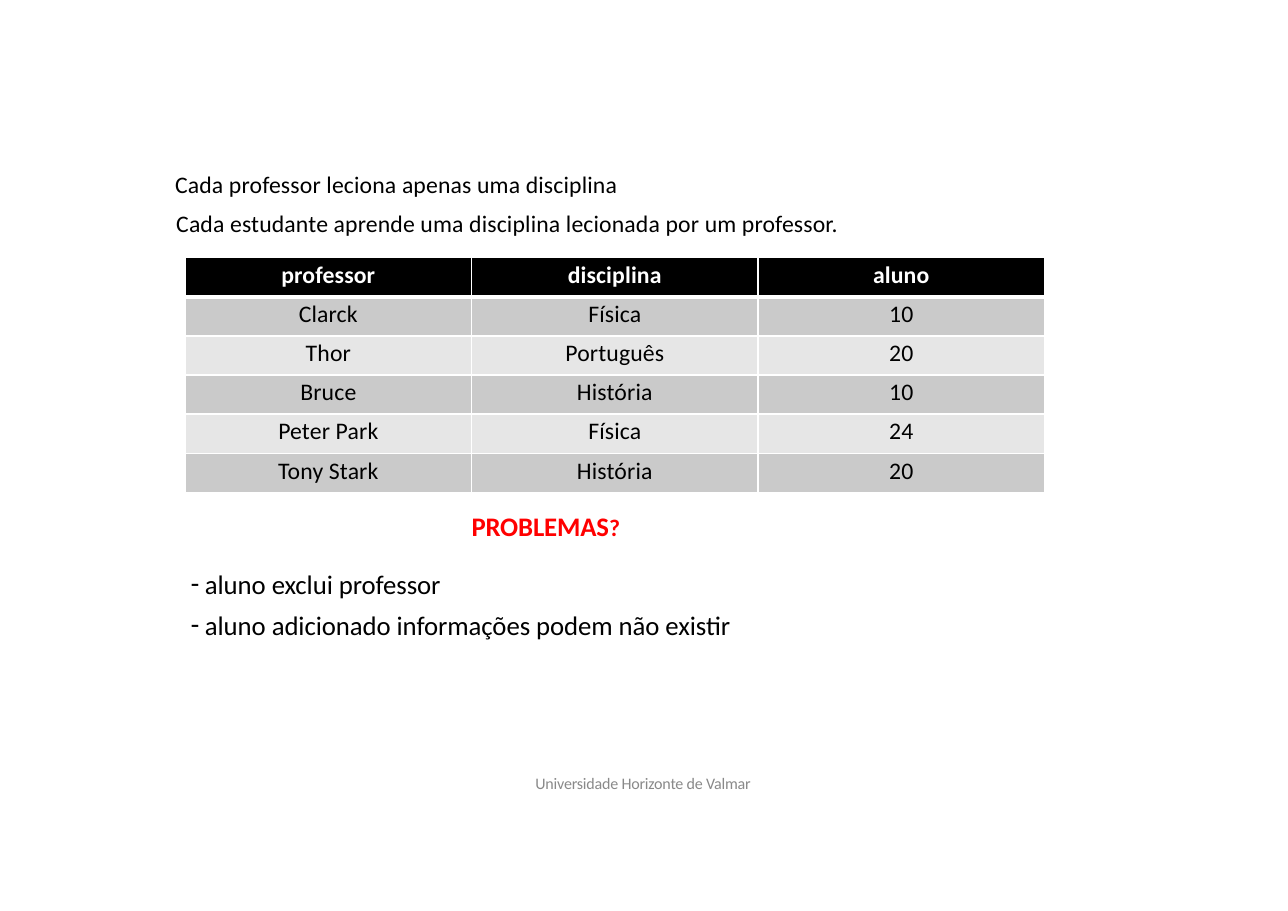
import pptx
import pptx.util
import pptx.dml.color
import pptx.enum.text
import pptx.oxml
import pptx.oxml.ns
from dataclasses import dataclass
from lxml import etree
from pptx.util import Inches, Pt

# Content
STATEMENTS = [
    "Cada professor leciona apenas uma disciplina",
    "Cada estudante aprende uma disciplina lecionada por um professor.",
]
TABLE_ROWS = [
    ("professor", "disciplina", "aluno"),
    ("Clarck", "Física", "10"),
    ("Thor", "Português", "20"),
    ("Bruce", "História", "10"),
    ("Peter Park", "Física", "24"),
    ("Tony Stark", "História", "20"),
]
HEADING = ("PROBLEMAS", "?")
PROBLEMS = ["aluno exclui professor", "aluno adicionado informações podem não existir"]
FOOTER = "Universidade Horizonte de Valmar"


@dataclass(frozen=True)
class Theme:
    font: str = "Calibri"
    text: str = "000000"
    accent: str = "FF0000"
    muted: str = "898989"
    white: str = "FFFFFF"
    header: str = "000000"
    bands: tuple = ("E6E6E6", "CACACA")
    body_size: float = 15.5
    list_size: float = 17.5
    footer_size: float = 10.5
    thin: float = 1
    thick: float = 3


THEME = Theme()


def rgb(value):
    return pptx.dml.color.RGBColor.from_string(value)


def format_run(run, size, color, bold=False, spacing=0.0):
    run.font.name = THEME.font
    run.font.size = Pt(size)
    run.font.bold = bold
    run.font.color.rgb = rgb(color)
    run.font._element.set("spc", str(round(spacing * 100)))


def place(shape, left, top, width, height, inset_top=0.0):
    shape.left, shape.top = Inches(left), Inches(top)
    shape.width, shape.height = Inches(width), Inches(height)
    frame = shape.text_frame
    frame.margin_left = frame.margin_right = frame.margin_bottom = 0
    frame.margin_top = Inches(inset_top)
    frame.word_wrap = True
    frame.auto_size = pptx.enum.text.MSO_AUTO_SIZE.NONE
    frame.vertical_anchor = pptx.enum.text.MSO_ANCHOR.TOP
    return frame


def set_indent(paragraph, margin, first_line=0.0):
    properties = paragraph._p.get_or_add_pPr()
    properties.set("marL", str(Inches(margin)))
    properties.set("indent", str(Inches(first_line)))
    return properties


def set_borders(cell, top, bottom):
    properties = cell._tc.get_or_add_tcPr()
    sides = (("L", THEME.thin), ("R", THEME.thin), ("T", top), ("B", bottom))
    for position, (side, width) in enumerate(sides):
        line = pptx.oxml.parse_xml(
            f'<a:ln{side} {pptx.oxml.ns.nsdecls("a")} w="{Pt(width)}"><a:solidFill>'
            f'<a:srgbClr val="{THEME.white}"/></a:solidFill></a:ln{side}>')
        properties.insert(position, line)


presentation = pptx.Presentation()
presentation.slide_width, presentation.slide_height = Inches(11.69), Inches(8.27)
slide = presentation.slides.add_slide(presentation.slide_layouts[1])

# Statements above the table
statement_box = slide.shapes.add_textbox(0, 0, 0, 0)
frame = place(statement_box, 1.58, 1.43, 6.5, 0.74, inset_top=0.11)
frame.text = "\n".join(STATEMENTS)
for index, paragraph in enumerate(frame.paragraphs):
    set_indent(paragraph, 0.01 * (index + 1))
    paragraph.space_before = Pt(7 * index)
    format_run(paragraph.runs[0], THEME.body_size, THEME.text, spacing=0.1)

# Table
row_count, column_count = len(TABLE_ROWS), len(TABLE_ROWS[0])
table = slide.shapes.add_table(
    row_count, column_count, Inches(1.68), Inches(2.34), Inches(7.8), Inches(2.13)).table
for row_index, row in enumerate(TABLE_ROWS):
    is_header = row_index == 0
    for column_index, value in enumerate(row):
        cell = table.cell(row_index, column_index)
        cell.margin_left = cell.margin_right = cell.margin_bottom = 0
        cell.margin_top = Inches(0.03)
        cell.fill.solid()
        cell.fill.fore_color.rgb = rgb(THEME.header if is_header else THEME.bands[row_index % 2])
        set_borders(cell,
                    top=THEME.thick if row_index == 1 else THEME.thin,
                    bottom=THEME.thick if is_header else THEME.thin)
        cell.text_frame.text = value
        paragraph = cell.text_frame.paragraphs[0]
        paragraph.alignment = pptx.enum.text.PP_ALIGN.CENTER
        format_run(paragraph.runs[0], THEME.body_size,
                   THEME.white if is_header else THEME.text, bold=is_header, spacing=0.1)

# Heading of the problem list
frame = place(slide.shapes.title, 4.28, 4.62, 2.41, 0.32, inset_top=0.01)
paragraph = frame.paragraphs[0]
paragraph.alignment = pptx.enum.text.PP_ALIGN.LEFT
for part, size in zip(HEADING, (THEME.list_size, THEME.body_size)):
    run = paragraph.add_run()
    run.text = part
    format_run(run, size, THEME.accent, bold=True, spacing=-0.1)

# Problem list
frame = place(slide.placeholders[1], 1.72, 5.15, 5.2, 0.7)
frame.text = "\n".join(PROBLEMS)
for index, paragraph in enumerate(frame.paragraphs):
    paragraph.space_before = Pt(5.9 * index)
    properties = set_indent(paragraph, 0.14, -0.13)
    etree.SubElement(properties, pptx.oxml.ns.qn("a:buChar")).set("char", "-")
    format_run(paragraph.runs[0], THEME.list_size, THEME.text, spacing=-0.05)

# Footer
footer_box = slide.shapes.add_textbox(0, 0, 0, 0)
frame = place(footer_box, 4.85, 7.04, 2.3, 0.17)
frame.text = FOOTER
paragraph = frame.paragraphs[0]
set_indent(paragraph, 0.01)
paragraph.line_spacing = Pt(11)
format_run(paragraph.runs[0], THEME.footer_size, THEME.muted, spacing=-0.1)

presentation.save("out.pptx")
